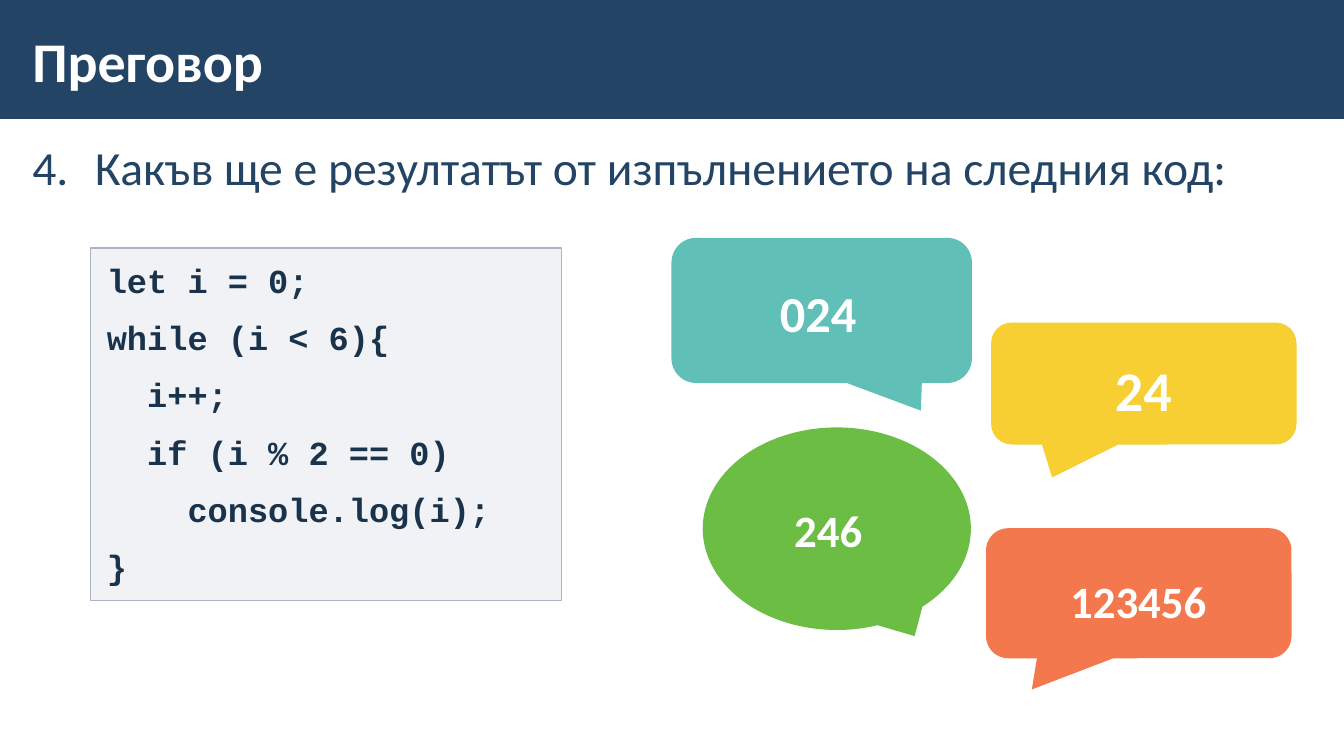
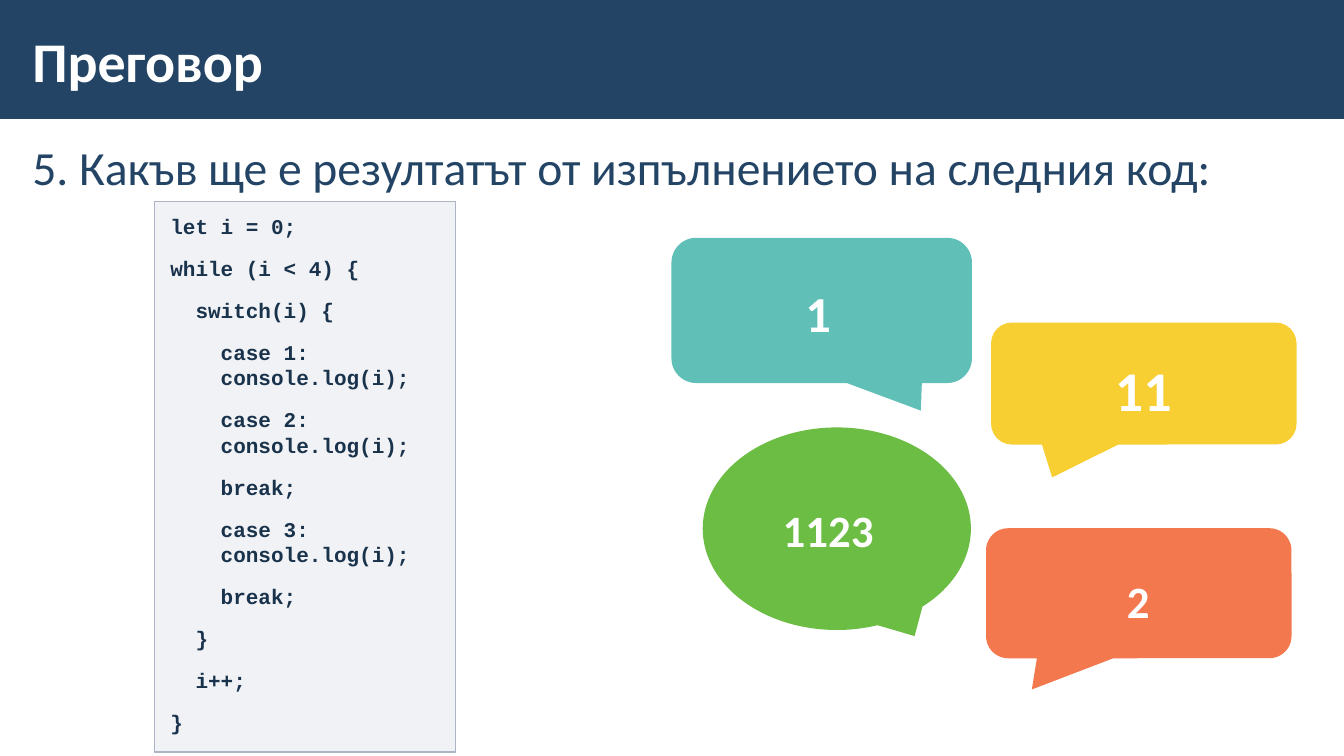
import pptx
import pptx.util
import pptx.dml.color
import pptx.enum.shapes
import pptx.enum.text
import pptx.oxml.ns
import lxml.etree

PX = 9144  # 100 px to the inch
SHAPE = pptx.enum.shapes.MSO_SHAPE
ALIGN = pptx.enum.text.PP_ALIGN
ANCHOR = pptx.enum.text.MSO_ANCHOR
COLORS = {
    "navy": "234465", "white": "FFFFFF", "code": "1A334C",
    "panel": "A3ABBC", "border": "ADB4C3", "teal": "60BFB7",
    "yellow": "F5C300", "green": "6CBD44", "orange": "F15721",
}
BODY_FONT, CODE_FONT = "Calibri", "Courier New"
NARROW, WIDE = (12, 4), (16, 12)  # horizontal and vertical text margins

TITLE = "Преговор"
QUESTION = "Какъв ще е резултатът от изпълнението на следния код:"
SLIDES = [
    {
        "question": QUESTION, "number": 4,
        "code_box": (90, 246, 467, 350), "code_size": 24,
        "code": ["let i = 0;", "while (i < 6){", "  i++;", "  if (i % 2 == 0)",
                 "    console.log(i);", "}"],
        "answers": ["246", "24", "123456", "024"],
    },
    {
        "question": "5. " + QUESTION, "number": None,
        "code_box": (153, 200, 299, 546), "code_size": 15,
        "code": ["let i = 0;", "while (i < 4) {", "  switch(i) {",
                 "    case 1:\v    console.log(i);",
                 "    case 2:\v    console.log(i);", "    break;",
                 "    case 3:\v    console.log(i);", "    break;",
                 "  }", "  i++;", "}"],
        "answers": ["1123", "11", "2", "1"],
    },
]
# preset, box, adjustments, colour, opacity %, text box, text size, line spacing
CALLOUTS = [
    (SHAPE.OVAL_CALLOUT, (697, 424, 266, 201), (0.29, 0.53),
     "green", 100, (683, 487, 277, 78), 32, 1.0),
    (SHAPE.ROUNDED_RECTANGULAR_CALLOUT, (983, 320, 303, 121), (-0.3, 0.77, 0.17),
     "yellow", 80, (984, 334, 300, 94), 40, 1.1),
    (SHAPE.ROUNDED_RECTANGULAR_CALLOUT, (978, 524, 303, 129), (-0.35, 0.74, 0.17),
     "orange", 80, (975, 552, 308, 80), 32, 1.1),
    (SHAPE.ROUNDED_RECTANGULAR_CALLOUT, (666, 236, 298, 144), (0.33, 0.69, 0.17),
     "teal", 100, (698, 262, 227, 87), 36, 1.1),
]


def rgb(name):
    return pptx.dml.color.RGBColor.from_string(COLORS[name])


def emu(box):
    return [v * PX for v in box]


def add_box(shapes, preset, box, color, opacity=100, border=None):
    sp = shapes.add_shape(preset, *emu(box))
    sp.shadow.inherit = False
    sp.fill.solid()
    sp.fill.fore_color.rgb = rgb(color)
    if opacity < 100:
        fill = sp.element.spPr.find(pptx.oxml.ns.qn("a:solidFill"))
        alpha = lxml.etree.SubElement(fill[0], pptx.oxml.ns.qn("a:alpha"))
        alpha.set("val", str(opacity * 1000))
    if border:
        sp.line.color.rgb = rgb(border)
        sp.line.width = pptx.util.Pt(1)
    else:
        sp.line.fill.background()
    return sp


def write(sp, lines, size, color, margins, font=BODY_FONT, bold=False,
          align=ALIGN.LEFT, anchor=ANCHOR.TOP, spacing=1.0, gap=0):
    """Fill a shape with one paragraph per line, all in one style."""
    tf = sp.text_frame
    tf.text = "\n".join(lines)
    tf.word_wrap = True
    tf.auto_size = pptx.enum.text.MSO_AUTO_SIZE.NONE
    tf.vertical_anchor = anchor
    tf.margin_left = tf.margin_right = margins[0] * PX
    tf.margin_top = tf.margin_bottom = margins[1] * PX
    for p in tf.paragraphs:
        p.alignment = align
        p.line_spacing = spacing
        p.space_before = p.space_after = pptx.util.Pt(gap)
        for r in p.runs:
            r.font.size = pptx.util.Pt(size)
            r.font.name = font
            r.font.bold = bold
            r.font.color.rgb = rgb(color)


def number_paragraph(p, start, indent):
    pPr = p._p.get_or_add_pPr()
    pPr.set("marL", str(indent * PX))
    pPr.set("indent", str(-indent * PX))
    bullet = lxml.etree.SubElement(pPr, pptx.oxml.ns.qn("a:buAutoNum"))
    bullet.set("type", "arabicPeriod")
    bullet.set("startAt", str(start))


def set_up_layout(layout, s):
    """Place the title and move a band drawn on s behind it in the layout."""
    band = add_box(s.shapes, SHAPE.RECTANGLE, (0, -2, 1334, 120), "navy")
    layout.shapes.element.insert(2, band.element)
    title = layout.placeholders[0]
    title.left, title.top, title.width, title.height = emu((20, 11, 1039, 97))


def add_callout(s, callout, answer):
    preset, box, adjustments, color, opacity, text_box, size, spacing = callout
    group = s.shapes.add_group_shape()
    bubble = add_box(group.shapes, preset, box, color, opacity)
    for i, value in enumerate(adjustments):
        bubble.adjustments[i] = value
    label = group.shapes.add_textbox(*emu(text_box))
    write(label, [answer], size, "white", WIDE, bold=True,
          align=ALIGN.CENTER, spacing=spacing)


def fill_slide(s, content):
    write(s.shapes.title, [TITLE], 40, "white", NARROW, bold=True,
          anchor=ANCHOR.MIDDLE)
    question = s.shapes.add_textbox(*emu((20, 130, 1291, 567)))
    write(question, [content["question"]], 34, "navy", NARROW, spacing=1.05, gap=6)
    if content["number"]:
        number_paragraph(question.text_frame.paragraphs[0], content["number"], 62)
    panel = add_box(s.shapes, SHAPE.RECTANGLE, content["code_box"], "panel", 15, "border")
    write(panel, content["code"], content["code_size"], "code", WIDE,
          font=CODE_FONT, bold=True, gap=6)
    for callout, answer in zip(CALLOUTS, content["answers"]):
        add_callout(s, callout, answer)


def main():
    prs = pptx.Presentation()
    prs.slide_width, prs.slide_height = emu((1333, 750))
    layout = prs.slide_layouts[5]
    slides = [prs.slides.add_slide(layout) for _ in SLIDES]
    set_up_layout(layout, slides[0])
    for s, content in zip(slides, SLIDES):
        fill_slide(s, content)
    prs.save("out.pptx")


if __name__ == "__main__":
    main()
